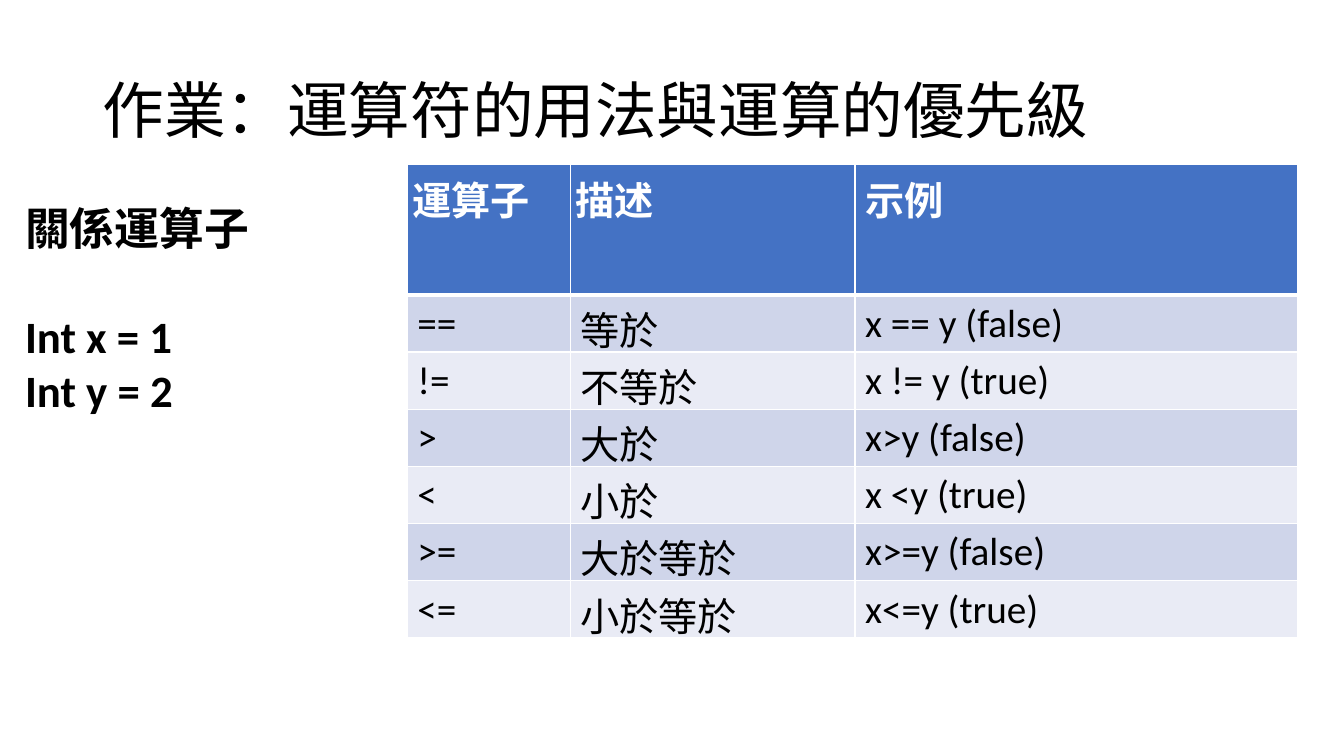
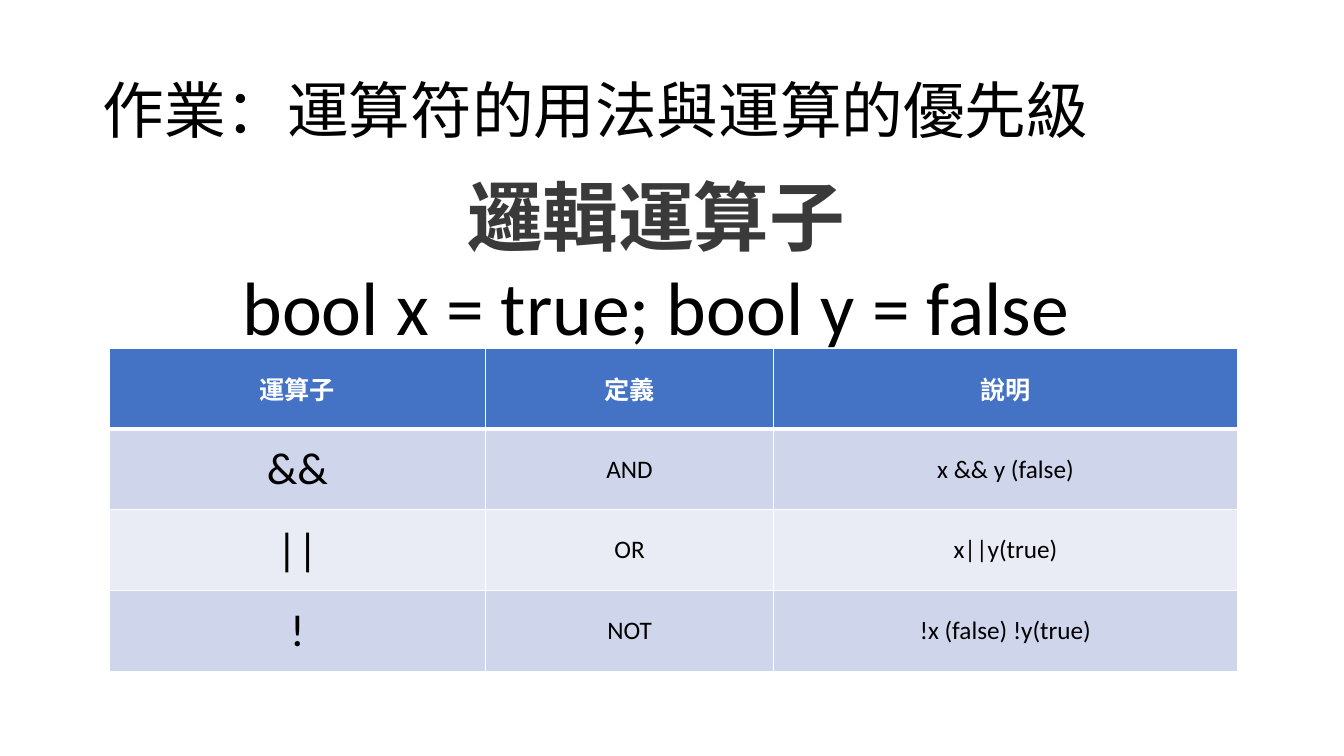
from lxml import etree
from pptx import Presentation
from pptx import util as u
from pptx.dml.color import RGBColor
from pptx.enum import text
from pptx.oxml import ns


def paint(target, value):
    if hasattr(target, "solid"):
        target.solid()
        target = target.fore_color
    else:
        target = target.color
    target.rgb = RGBColor.from_string(value)


class Lesson:
    COLUMNS, ROWS = 160, 90
    FONT = "Calibri"
    INK, WHITE, HEAD = "000000", "FFFFFF", "4472C4"
    BANDS = ("CFD5EA", "E9EBF5")
    TITLE = "作業：運算符的用法與運算的優先級"

    def __init__(self):
        self.deck = Presentation()
        self.deck.slide_width = u.Inches(13.33)
        self.deck.slide_height = u.Inches(7.5)
        self.page = None

    def across(self, columns):
        return round(self.deck.slide_width * columns / self.COLUMNS)

    def down(self, rows):
        return round(self.deck.slide_height * rows / self.ROWS)

    def area(self, left, top, width, height):
        return (self.across(left), self.down(top),
                self.across(width), self.down(height))

    def style(self, para, size, color=INK, bold=False, font=FONT, align=text.PP_ALIGN.LEFT):
        para.alignment = align
        for span in para.runs:
            span.font.size = u.Pt(size)
            span.font.name = font
            span.font.bold = bold
            paint(span.font, color)

    def add_page(self):
        self.page = self.deck.slides.add_slide(self.deck.slide_layouts[5])
        title = self.page.shapes.title
        title.left, title.top, title.width, title.height = self.area(11, 4.8, 138, 17.4)
        frame = title.text_frame
        frame.text = self.TITLE
        frame.vertical_anchor = text.MSO_ANCHOR.MIDDLE
        para = frame.paragraphs[0]
        para.line_spacing = 0.9
        self.style(para, 44)

    def add_text(self, area, lines):
        frame = self.page.shapes.add_textbox(*self.area(*area)).text_frame
        frame.word_wrap = True
        frame.text = "\n".join(line for line, _ in lines)
        for para, (_, look) in zip(frame.paragraphs, lines):
            self.style(para, **look)
        return frame

    def add_borders(self, cell, header):
        properties = cell._tc.get_or_add_tcPr()
        for side in "LRTB":
            points = 3 if header and side == "B" else 1
            line = etree.SubElement(properties, ns.qn(f"a:ln{side}"), w=str(u.Pt(points)))
            fill = etree.SubElement(line, ns.qn("a:solidFill"))
            etree.SubElement(fill, ns.qn("a:srgbClr"), val=self.WHITE)

    def add_table(self, left, top, widths, heights, content, sizes, head_size,
                  align=text.PP_ALIGN.LEFT, anchor=text.MSO_ANCHOR.TOP):
        area = self.area(left, top, sum(widths), sum(heights))
        table = self.page.shapes.add_table(len(heights), len(widths), *area).table
        for column, width in zip(table.columns, widths):
            column.width = self.across(width)
        for row, height in zip(table.rows, heights):
            row.height = self.down(height)
        for r, words in enumerate(content):
            header = r == 0
            for c, word in enumerate(words):
                cell = table.cell(r, c)
                cell.text_frame.text = word
                cell.vertical_anchor = anchor
                self.style(cell.text_frame.paragraphs[0],
                           head_size if header else sizes[c],
                           self.WHITE if header else self.INK, header, align=align)
                self.add_borders(cell, header)
                paint(cell.fill, self.HEAD if header else self.BANDS[(r - 1) % 2])
        return table


def add_relations(lesson):
    lesson.add_page()
    look = {"size": 32, "bold": True}
    frame = lesson.add_text((1.8, 23.3, 64.4, 27.1), [
        ("關係運算子", look), ("Int x = 1", look), ("Int y = 2", look)])
    frame.paragraphs[1].space_before = u.Pt(39)
    table = lesson.add_table(48.5, 19.6, (19.4, 33.9, 52.7), [15.5] + [6.2] * 6, [
        ("運算子", "描述", "示例"),
        ("==", "等於", "x == y (false)"),
        ("!=", "不等於", "x != y (true)"),
        (">", "大於", "x>y (false)"),
        ("<", "小於", "x <y (true)"),
        (">=", "大於等於", "x>=y (false)"),
        ("<=", "小於等於", "x<=y (true)"),
    ], sizes=(28, 28, 28), head_size=28)
    for column in range(2):
        cell = table.cell(0, column)
        cell.margin_left = cell.margin_right = u.Inches(0.05)
        lesson.style(cell.text_frame.paragraphs[0], 28, lesson.WHITE, True, "Open Sans")


def add_logic(lesson):
    lesson.add_page()
    center = text.PP_ALIGN.CENTER
    lesson.add_text((11, 19.6, 134.2, 31.1), [
        ("邏輯運算子", {"size": 54, "color": "3A3A3A", "bold": True,
                   "font": "Lato", "align": center}),
        ("bool x = true; bool y = false", {"size": 54, "align": center})])
    lesson.add_table(13, 41.5, (44.8, 34.3, 55.2), [9.6] * 4, [
        ("運算子", "定義", "說明"),
        ("&&", "AND", "x && y (false)"),
        ("||", "OR", "x||y(true)"),
        ("!", "NOT", "!x (false) !y(true)"),
    ], sizes=(32, 18, 18), head_size=18, align=center, anchor=text.MSO_ANCHOR.MIDDLE)


def main():
    lesson = Lesson()
    add_relations(lesson)
    add_logic(lesson)
    lesson.deck.save("out.pptx")


if __name__ == "__main__":
    main()
